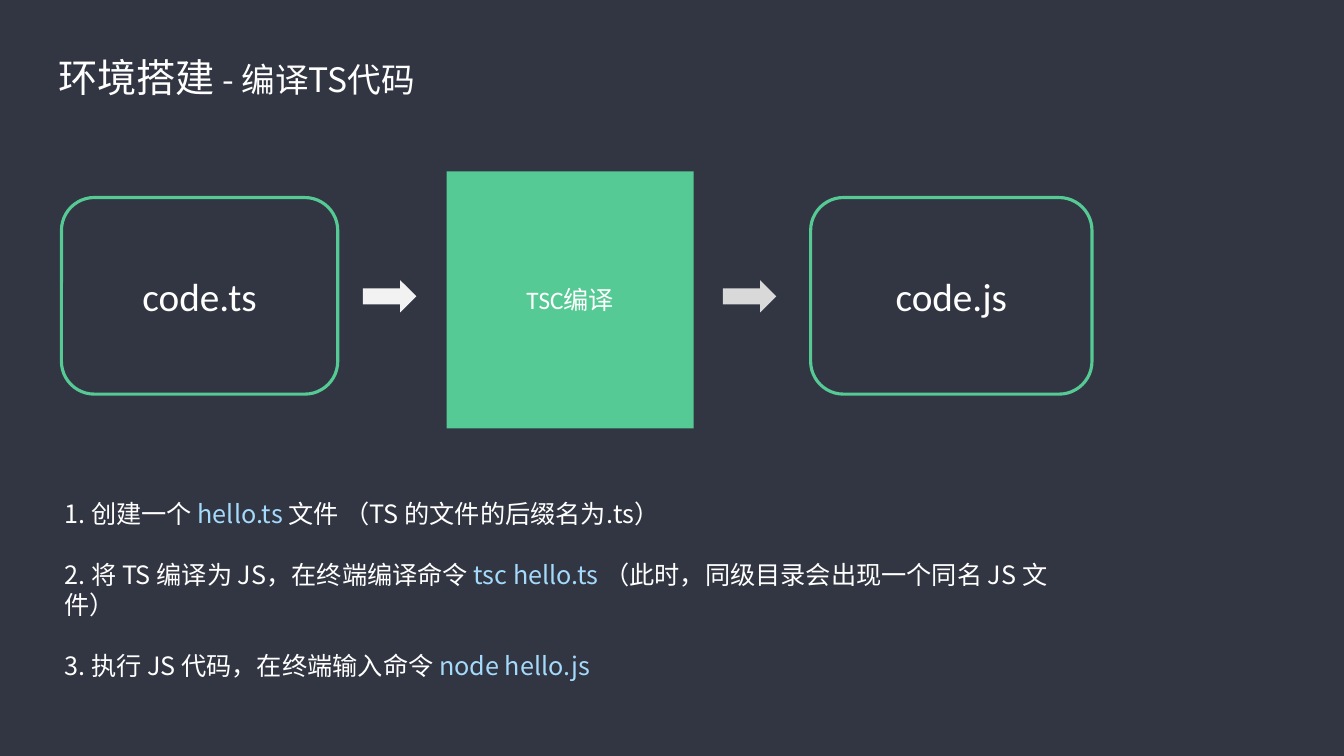
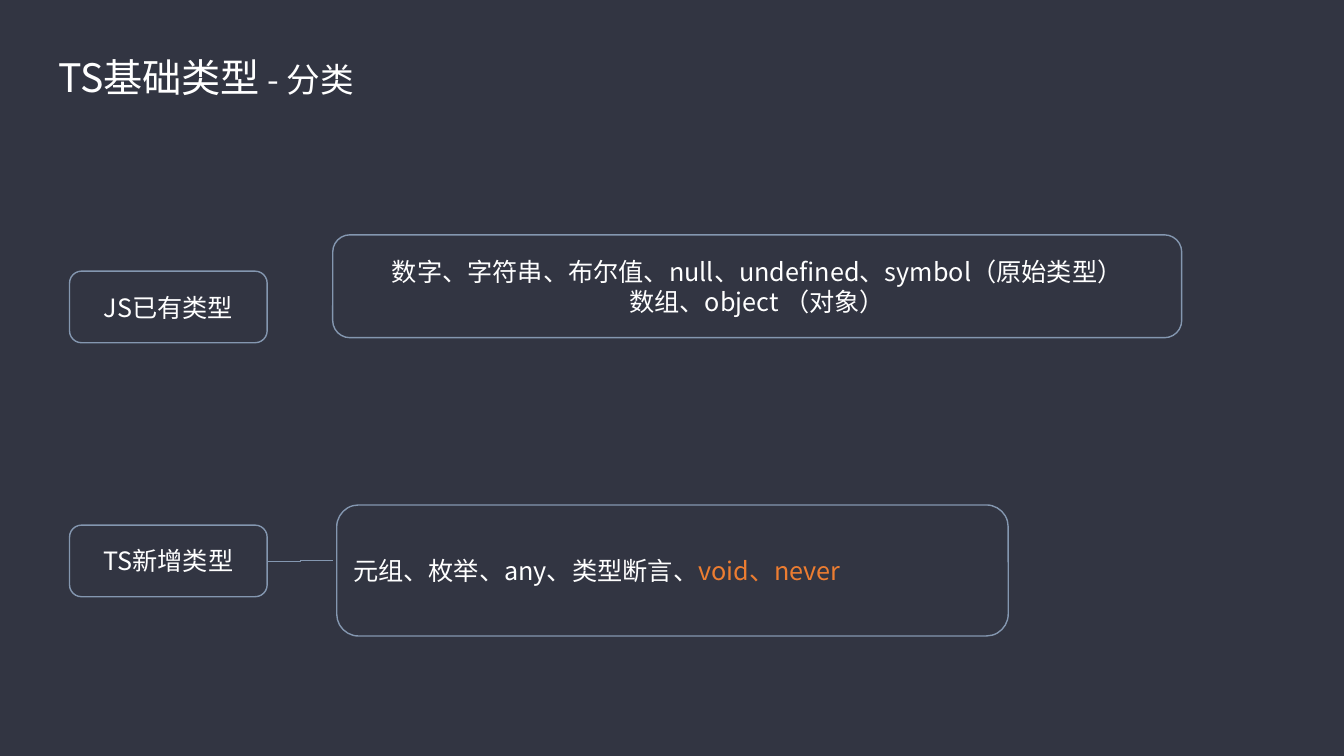
from dataclasses import dataclass
from typing import NamedTuple

from lxml.etree import SubElement
from pptx import Presentation
from pptx.dml.color import RGBColor
from pptx.enum.shapes import MSO_CONNECTOR as Link, MSO_SHAPE as Kind
from pptx.enum.text import MSO_ANCHOR as Anchor, MSO_AUTO_SIZE as Fit, PP_ALIGN as Align
from pptx.oxml.ns import qn
from pptx.util import Inches, Pt

NAVY = RGBColor(0x32, 0x35, 0x42)
WHITE = RGBColor(0xFF, 0xFF, 0xFF)
GREEN = RGBColor(0x56, 0xCA, 0x95)
SKY = RGBColor(0xA4, 0xDA, 0xFB)
STEEL = RGBColor(0x84, 0x97, 0xB0)
ORANGE = RGBColor(0xED, 0x7D, 0x31)
PALE = RGBColor(0xF2, 0xF2, 0xF2)
GREY = RGBColor(0xD9, 0xD9, 0xD9)
SANS, LATIN = "Noto Sans CJK JP", "Calibri"
LIST_LAYOUT, TITLE_LAYOUT = 1, 5


class Area(NamedTuple):
    left: float
    top: float
    width: float
    height: float


class Piece(NamedTuple):
    text: str
    color: RGBColor = WHITE
    size: float = 18
    font: str = SANS


Lines = list[list[Piece]]


@dataclass
class Box:
    area: Area
    lines: Lines
    kind: Kind = Kind.ROUNDED_RECTANGLE
    fill: RGBColor | None = None
    line: RGBColor | None = STEEL
    weight: float = 1
    align: Align = Align.CENTER


def place(shape, area: Area) -> None:
    shape.left, shape.top, shape.width, shape.height = map(Inches, area)


def write(frame, lines: Lines, align: Align, gap: float = 0) -> None:
    """Fill the frame with one paragraph per line, gap points apart."""
    frame.word_wrap = True
    frame.auto_size = Fit.NONE
    for index, line in enumerate(lines):
        para = frame.add_paragraph() if index else frame.paragraphs[0]
        para.alignment = align
        para.space_before = Pt(gap if index else 0)
        for piece in line:
            run = para.add_run()
            run.text = piece.text
            run.font.size = Pt(piece.size)
            run.font.color.rgb = piece.color
            run.font.name = piece.font
            SubElement(run.font._element, qn("a:ea"), typeface=SANS)


def add_slide(deck, layout: int, topic: str, part: str):
    slide = deck.slides.add_slide(deck.slide_layouts[layout])
    title = slide.shapes.title
    place(title, Area(0.48, 0.48, 5.52, 0.57))
    title.text_frame.vertical_anchor = Anchor.TOP
    pieces = [Piece(topic, size=28), Piece(f" - {part}", size=24)]
    write(title.text_frame, [pieces], Align.LEFT)
    return slide


def add_list(slide, area: Area, lines: Lines) -> None:
    body = slide.placeholders[1]
    place(body, area)
    write(body.text_frame, lines, Align.LEFT, gap=22)
    for para in body.text_frame.paragraphs:
        props = para._p.get_or_add_pPr()
        props.set("marL", "0")
        props.set("indent", "0")
        SubElement(props, qn("a:buNone"))


def add_box(slide, box: Box) -> None:
    shape = slide.shapes.add_shape(box.kind, *map(Inches, box.area))
    shape.shadow.inherit = False
    if box.fill is None:
        shape.fill.background()
    else:
        shape.fill.solid()
        shape.fill.fore_color.rgb = box.fill
    if box.line is None:
        shape.line.fill.background()
    else:
        shape.line.color.rgb = box.line
        shape.line.width = Pt(box.weight)
    shape.text_frame.vertical_anchor = Anchor.MIDDLE
    write(shape.text_frame, box.lines, box.align)


def add_link(slide, start: tuple[float, float], end: tuple[float, float]) -> None:
    link = slide.shapes.add_connector(Link.ELBOW, *map(Inches, start + end))
    link.line.color.rgb = STEEL
    link.line.width = Pt(0.5)
    SubElement(link._element.spPr, qn("a:effectLst"))


def add_compile(deck) -> None:
    slide = add_slide(deck, LIST_LAYOUT, "环境搭建", "编译TS代码")
    add_list(slide, Area(0.54, 4.89, 10.38, 2), [
        [Piece("1. 创建一个 "), Piece("hello.ts", SKY),
         Piece(" 文件 （TS 的文件的后缀名为.ts）")],
        [Piece("2. 将 TS 编译为 JS，在终端编译命令 "), Piece("tsc hello.ts", SKY),
         Piece(" （此时，同级目录会出现一个同名 JS 文件）")],
        [Piece("3. 执行 JS 代码，在终端输入命令 "), Piece("node hello.js", SKY)],
    ])
    for name, left, width in (("code.ts", 0.61, 2.74), ("code.js", 8.04, 2.79)):
        label = Piece(name, size=28, font=LATIN)
        add_box(slide, Box(Area(left, 1.96, width, 1.95), [[label]],
                           line=GREEN, weight=2.25))
    add_box(slide, Box(Area(4.43, 1.7, 2.45, 2.55), [[Piece("TSC编译", font=LATIN)]],
                       Kind.RECTANGLE, GREEN, None))
    for left, color in ((3.6, PALE), (7.17, GREY)):
        add_box(slide, Box(Area(left, 2.78, 0.53, 0.32), [],
                           Kind.RIGHT_ARROW, color, None))


def add_types(deck) -> None:
    slide = add_slide(deck, TITLE_LAYOUT, "TS基础类型", "分类")
    for name, top in (("JS已有类型", 2.69), ("TS新增类型", 5.21)):
        add_box(slide, Box(Area(0.69, top, 1.96, 0.71), [[Piece(name)]]))
    add_box(slide, Box(Area(3.3, 2.33, 8.42, 1.02), [
        [Piece("数字、字符串、布尔值、null、undefined、symbol（原始类型）")],
        [Piece("数组、object （对象）")],
    ]))
    add_box(slide, Box(Area(3.34, 5.01, 6.66, 1.3), [
        [Piece("元组、枚举、any、类型断言、"), Piece("void、never", ORANGE)],
    ], align=Align.LEFT))
    add_link(slide, (2.65, 5.57), (3.3, 5.56))


def main() -> None:
    deck = Presentation()
    deck.slide_width, deck.slide_height = Inches(13.33), Inches(7.5)
    back = deck.slide_master.background.fill
    back.solid()
    back.fore_color.rgb = NAVY
    add_compile(deck)
    add_types(deck)
    deck.save("out.pptx")


if __name__ == "__main__":
    main()
